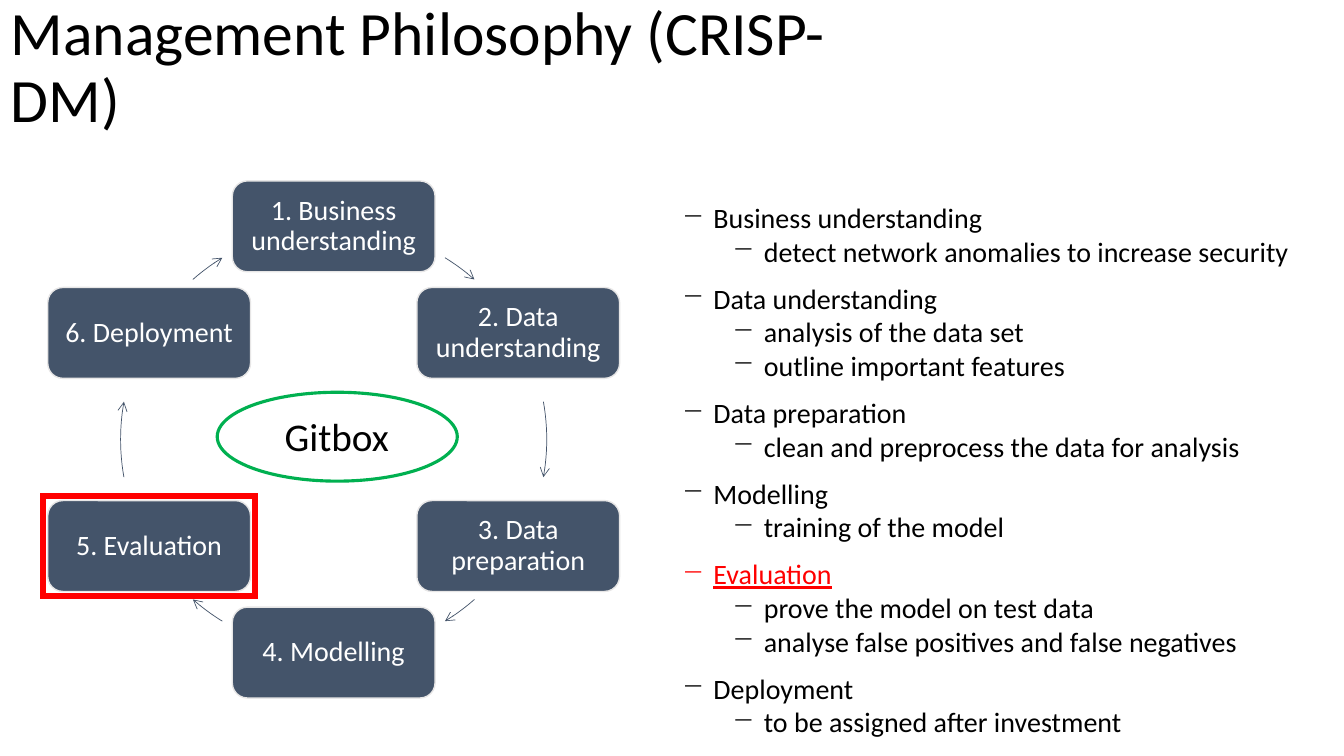
from math import cos, radians, sin

from lxml.etree import SubElement
from pptx import Presentation
from pptx.dml.color import RGBColor
from pptx.enum.shapes import MSO_SHAPE
from pptx.enum.text import MSO_ANCHOR, PP_ALIGN
from pptx.oxml.ns import qn
from pptx.util import Cm, Pt

COLORS = {"node": "44546A", "node_edge": "E7E6E6", "node_text": "FFFFFF",
          "text": "000000", "highlight": "FF0000", "hub": "00B050"}
FONT = "Calibri"
STAGES = ["1. Business understanding", "2. Data understanding",
          "3. Data preparation", "4. Modelling", "5. Evaluation",
          "6. Deployment"]
CURRENT_STAGE = "5. Evaluation"
CURRENT_TASK = "Evaluation"
# Clockwise degrees from the top, between neighbouring stages
ARROW_ANGLES = [(31.5, 41.35), (79.8, 100.2), (138.65, 148.5),
                (211.5, 221.35), (259.8, 280.2), (318.65, 328.5)]
TASKS = [
    ("Business understanding",
     ["detect network anomalies to increase security"]),
    ("Data understanding",
     ["analysis of the data set", "outline important features"]),
    ("Data preparation", ["clean and preprocess the data for analysis"]),
    ("Modelling", ["training of the model"]),
    ("Evaluation", ["prove the model on test data",
                    "analyse false positives and false negatives"]),
    ("Deployment", ["to be assigned after investment"]),
]


def rgb(name):
    return RGBColor.from_string(COLORS[name])


def style_font(paragraph, size, color):
    paragraph.font.name = FONT
    paragraph.font.size = Pt(size)
    paragraph.font.color.rgb = rgb(color)


def style_shape(shape, line, width, fill=None):
    shape.shadow.inherit = False
    shape.line.color.rgb = rgb(line)
    shape.line.width = Pt(width)
    if fill:
        shape.fill.solid()
        shape.fill.fore_color.rgb = rgb(fill)
    else:
        shape.fill.background()


def add_centred(slide, kind, center_x, center_y, width, height):
    return slide.shapes.add_shape(kind, Cm(center_x - width / 2),
                                  Cm(center_y - height / 2),
                                  Cm(width), Cm(height))


def add_text_frame(slide, left, top, width, height):
    frame = slide.shapes.add_textbox(
        Cm(left), Cm(top), Cm(width), Cm(height)).text_frame
    frame.word_wrap = True
    return frame


def write_stage(node, stage):
    frame = node.text_frame
    frame.word_wrap = True
    frame.vertical_anchor = MSO_ANCHOR.MIDDLE
    frame.margin_left = frame.margin_right = Cm(0.3)
    frame.margin_top = frame.margin_bottom = Cm(0.3)
    label = frame.paragraphs[0]
    label.text = stage
    label.alignment = PP_ALIGN.CENTER
    label.line_spacing = 0.9
    style_font(label, 20, "node_text")


def add_title(slide, left, top, width, height):
    frame = add_text_frame(slide, left, top, width, height)
    frame.vertical_anchor = MSO_ANCHOR.MIDDLE
    heading = frame.paragraphs[0]
    heading.text = "Management Philosophy (CRISP-DM)"
    heading.line_spacing = 0.9
    style_font(heading, 44, "text")


def add_arc_arrow(slide, points, left, top, size):
    """Draw an open arrow whose frame is the square around the whole circle."""
    points = [(Cm(x), Cm(y)) for x, y in points]
    builder = slide.shapes.build_freeform(*points[0])
    builder.add_line_segments(points[1:], close=False)
    arrow = builder.convert_to_shape()
    style_shape(arrow, "node", 0.5)
    SubElement(arrow.line._get_or_add_ln(), qn("a:tailEnd"), type="arrow")

    shift_x, shift_y = arrow.left - Cm(left), arrow.top - Cm(top)
    for outline in arrow._element.iter(qn("a:path")):
        outline.set("w", str(Cm(size)))
        outline.set("h", str(Cm(size)))
        for point in outline.iter(qn("a:pt")):
            point.set("x", str(int(point.get("x")) + shift_x))
            point.set("y", str(int(point.get("y")) + shift_y))
    arrow.left, arrow.top = Cm(left), Cm(top)
    arrow.width = arrow.height = Cm(size)


def add_hub(slide, center_x, center_y):
    hub = add_centred(slide, MSO_SHAPE.OVAL, center_x, center_y, 6.05, 2.24)
    style_shape(hub, "hub", 2.25)
    frame = add_text_frame(slide, center_x - 2.49, center_y - 0.73, 4.95, 1.45)
    label = frame.paragraphs[0]
    label.text = "Gitbox"
    label.alignment = PP_ALIGN.CENTER
    style_font(label, 28, "text")


def add_cycle(slide, left, top, width, height):
    """Place the stages on a circle, with arrows between and a hub inside."""
    node_width, node_height = 5.11, 2.29
    center_x, center_y = left + width / 2, top + height / 2
    radius = (height - node_height) / 2

    def on_circle(degrees):
        angle = radians(degrees)
        return center_x + radius * sin(angle), center_y - radius * cos(angle)

    for index, stage in enumerate(STAGES):
        x, y = on_circle(index * 360 / len(STAGES))
        node = add_centred(slide, MSO_SHAPE.ROUNDED_RECTANGLE, x, y,
                           node_width, node_height)
        style_shape(node, "node_edge", 1, "node")
        write_stage(node, stage)
        if stage == CURRENT_STAGE:
            highlight_at = x, y

    steps = 12
    for start, end in ARROW_ANGLES:
        points = [on_circle(start + (end - start) * step / steps)
                  for step in range(steps + 1)]
        add_arc_arrow(slide, points, center_x - radius, center_y - radius,
                      2 * radius)

    highlight = add_centred(slide, MSO_SHAPE.RECTANGLE, *highlight_at,
                            node_width + 0.23, node_height + 0.23)
    style_shape(highlight, "highlight", 4.5)
    SubElement(highlight.line._get_or_add_ln(), qn("a:miter"), lim="800000")
    add_hub(slide, center_x + 0.09, center_y - 0.07)


def add_bullet(paragraph, indent, color):
    properties = paragraph._p.get_or_add_pPr()
    properties.set("marL", str(Cm(indent)))
    properties.set("indent", str(-Cm(0.79)))
    bullet_color = SubElement(properties, qn("a:buClr"))
    SubElement(bullet_color, qn("a:srgbClr"), val=COLORS[color])
    SubElement(properties, qn("a:buChar"), char="−")


def add_tasks(slide, left, top, width, height):
    frame = add_text_frame(slide, left, top, width, height)
    for index, (task, details) in enumerate(TASKS):
        current = task == CURRENT_TASK
        color = "highlight" if current else "text"
        heading = frame.add_paragraph() if index else frame.paragraphs[0]
        heading.text = task
        if index:
            heading.space_before = Pt(9.6)
        add_bullet(heading, 0.79, color)
        style_font(heading, 20, color)
        if current:
            heading.font.underline = True
        for detail in details:
            item = frame.add_paragraph()
            item.text = detail
            item.level = 1
            add_bullet(item, 2.06, "text")
            style_font(item, 20, "text")


def main():
    presentation = Presentation()
    presentation.slide_width = Cm(33.87)
    presentation.slide_height = Cm(19.05)
    slide = presentation.slides.add_slide(presentation.slide_layouts[6])
    add_title(slide, 0.02, -0.09, 23.7, 3.66)
    add_cycle(slide, 1.21, 4.56, 14.4, 13.03)
    add_tasks(slide, 16.94, 4.93, 16.33, 13.94)
    presentation.save("out.pptx")


if __name__ == "__main__":
    main()
